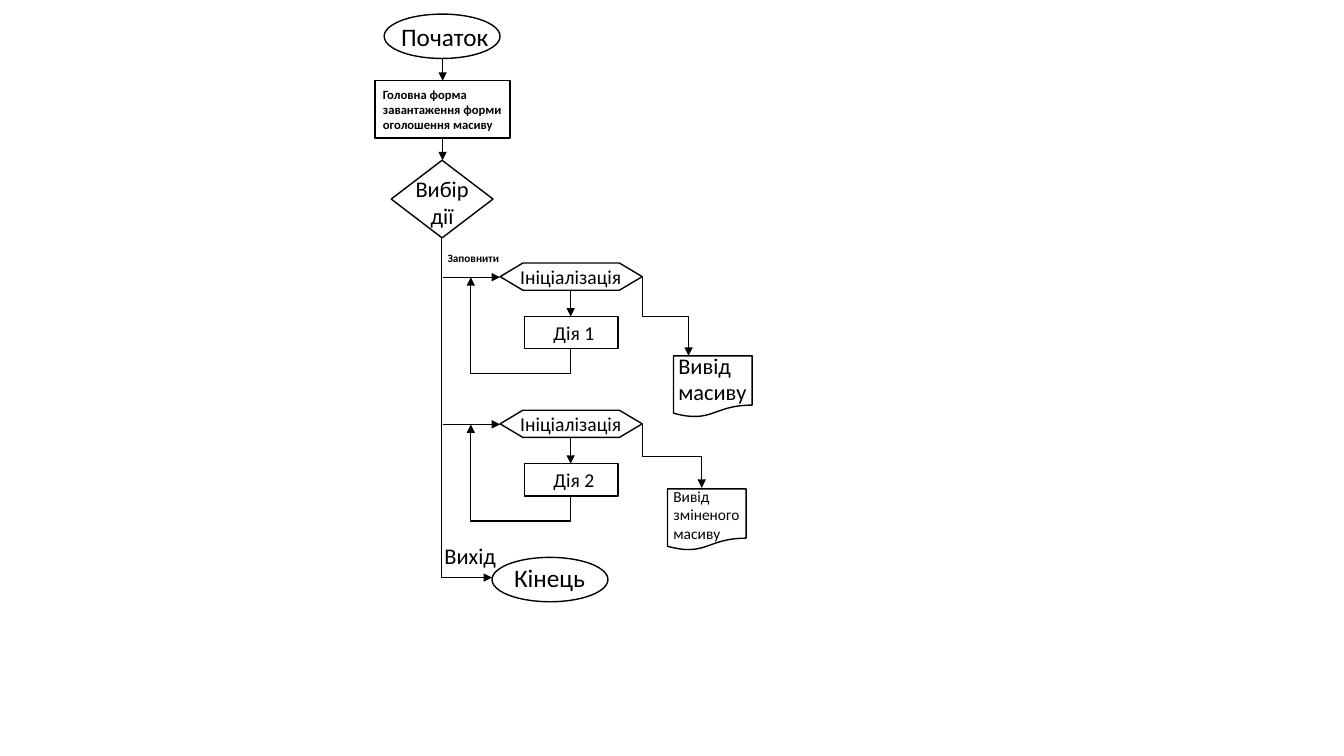
from typing import NamedTuple, Optional

from lxml.etree import SubElement
from pptx import Presentation
from pptx.dml.color import RGBColor
from pptx.enum.shapes import MSO_CONNECTOR, MSO_SHAPE
from pptx.enum.text import MSO_ANCHOR, MSO_AUTO_SIZE, PP_ALIGN
from pptx.oxml.ns import qn
from pptx.util import Inches, Pt

COLORS = {"ink": "000000", "paper": "FFFFFF"}
FONT = "Calibri"


class Block(NamedTuple):
    kind: MSO_SHAPE
    left: float
    top: float
    width: float
    height: float
    fill: Optional[str] = None


class Label(NamedTuple):
    text: str
    left: float
    top: float
    width: float
    height: float
    size: float
    bold: bool = False
    align: PP_ALIGN = PP_ALIGN.LEFT


class Cycle(NamedTuple):
    axis: float
    action: str
    output_x: float
    output_y: float


prs = Presentation()
prs.slide_width, prs.slide_height = Inches(13.33), Inches(7.5)
slide = prs.slides.add_slide(prs.slide_layouts[6])


def draw_block(block: Block) -> None:
    shape = slide.shapes.add_shape(block.kind, *map(Inches, block[1:5]))
    shape.shadow.inherit = False
    if block.fill:
        shape.fill.solid()
        shape.fill.fore_color.rgb = RGBColor.from_string(COLORS[block.fill])
    else:
        shape.fill.background()
    shape.line.color.rgb = RGBColor.from_string(COLORS["ink"])
    shape.line.width = Pt(1)
    if block.kind == MSO_SHAPE.HEXAGON:
        shape.adjustments[0] = 0.838


def write(text: str, *, left: float, top: float, width: float, height: float,
          size: float, bold: bool, align: PP_ALIGN) -> None:
    box = slide.shapes.add_textbox(*map(Inches, (left, top, width, height)))
    frame = box.text_frame
    frame.word_wrap = False
    frame.auto_size = MSO_AUTO_SIZE.SHAPE_TO_FIT_TEXT
    frame.vertical_anchor = MSO_ANCHOR.TOP
    frame.text = text
    for paragraph in frame.paragraphs:
        paragraph.alignment = align
        font = paragraph.runs[0].font
        font.name, font.size, font.bold = FONT, Pt(size), bold
        font.color.rgb = RGBColor.from_string(COLORS["ink"])


def draw_arrow(x1: float, y1: float, x2: float, y2: float, weight: float = 1,
               bends: tuple[float, ...] = ()) -> None:
    """Straight arrow, or an elbow leaving vertically when bends are given."""
    kind = MSO_CONNECTOR.ELBOW if bends else MSO_CONNECTOR.STRAIGHT
    ends = (0, 0, 0, 0) if bends else (x1, y1, x2, y2)
    arrow = slide.shapes.add_connector(kind, *map(Inches, ends))
    arrow.line.color.rgb = RGBColor.from_string(COLORS["ink"])
    arrow.line.width = Pt(weight)
    properties = arrow.element.spPr
    if bends:
        # The frame is a quarter turn: its width is the vertical reach
        reach, spread = abs(y2 - y1), abs(x2 - x1)
        arrow.left = Inches((x1 + x2 - reach) / 2)
        arrow.top = Inches((y1 + y2 - spread) / 2)
        arrow.width, arrow.height = Inches(reach), Inches(spread)
        frame = properties.find(qn("a:xfrm"))
        frame.set("rot", str((270 if y2 > y1 else 90) * 60000))
        frame.set("flipH", "1")
        geometry = properties.find(qn("a:prstGeom"))
        geometry.set("prst", f"bentConnector{len(bends) + 2}")
        guides = geometry.find(qn("a:avLst"))
        if guides is None:
            guides = SubElement(geometry, qn("a:avLst"))
        for number, bend in enumerate(bends, 1):
            SubElement(guides, qn("a:gd"), name=f"adj{number}",
                       fmla=f"val {round(bend * 100000)}")
    SubElement(properties.find(qn("a:ln")), qn("a:tailEnd"), type="triangle")
    SubElement(properties, qn("a:effectLst"))


def draw_label(label: Label) -> None:
    write(**label._asdict())


def draw_cycle(cycle: Cycle) -> None:
    y = cycle.axis
    draw_arrow(TRUNK, y, 4.96, y)
    draw_block(Block(MSO_SHAPE.HEXAGON, 4.96, y - 0.14, 1.41, 0.27))
    draw_block(Block(MSO_SHAPE.RECTANGLE, 5.2, y + 0.39, 0.93, 0.32))
    draw_arrow(5.66, y + 0.14, 5.66, y + 0.39, 0.75)
    draw_arrow(5.66, y + 0.71, 4.67, y, 0.75, (-0.35, 1))
    draw_arrow(6.37, y, cycle.output_x, cycle.output_y, 0.75, (0.5,))
    draw_label(Label("Ініціалізація", 5.06, y - 0.17, 1.22, 0.34, 14))
    draw_label(Label(cycle.action, 5.39, y + 0.38, 0.61, 0.34, 14))


TRUNK = 4.39

# Start, main form, choice and end
for step in (
    Block(MSO_SHAPE.OVAL, 3.81, 0.14, 1.15, 0.44),
    Block(MSO_SHAPE.RECTANGLE, 3.72, 0.8, 1.34, 0.57),
    Block(MSO_SHAPE.DIAMOND, 3.88, 1.59, 1.01, 0.77, "paper"),
    Block(MSO_SHAPE.OVAL, 4.88, 5.53, 1.15, 0.44),
):
    draw_block(step)
draw_arrow(TRUNK, 0.58, TRUNK, 0.8)
draw_arrow(TRUNK, 1.37, TRUNK, 1.59)
draw_arrow(4.38, 2.35, 4.88, 5.73, 1, (1,))

# Two cycles, each leading to its output document
for cycle in (Cycle(2.75, "Дія 1", 6.83, 3.53), Cycle(4.21, "Дія 2", 6.96, 4.84)):
    draw_cycle(cycle)
for left, top in ((6.68, 3.53), (6.62, 4.85)):
    draw_block(Block(MSO_SHAPE.FLOWCHART_DOCUMENT, left, top, 0.78, 0.61))

# Captions
for caption in (
    Label("Початок", 3.88, 0.16, 1.08, 0.4, 18),
    Label("Головна форма\nзавантаження форми\nоголошення масиву",
          3.7, 0.81, 1.44, 0.56, 9, bold=True),
    Label("Вибір\nдії", 4.02, 1.69, 0.73, 0.64, 16, align=PP_ALIGN.CENTER),
    Label("Заповнити", 4.34, 2.44, 0.72, 0.24, 8, bold=True),
    Label("Вивід \nмасиву ", 6.63, 3.44, 0.94, 0.64, 16),
    Label("Вивід \nзміненого \nмасиву ", 6.58, 4.78, 0.9, 0.66, 11),
    Label("Вихід", 4.31, 5.33, 0.72, 0.37, 16),
    Label("Кінець", 5, 5.53, 0.91, 0.4, 18),
):
    draw_label(caption)

prs.save("out.pptx")
